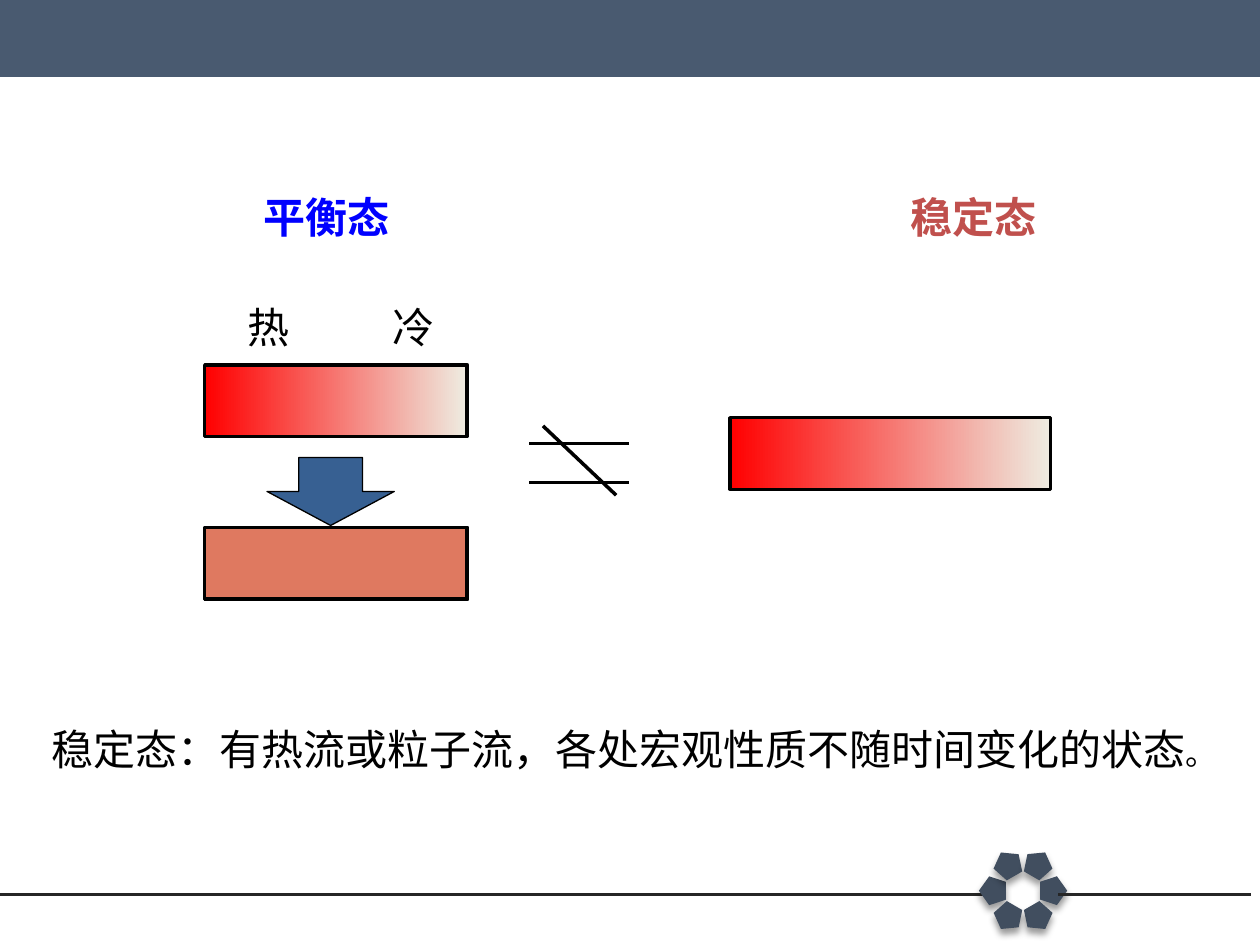
from math import cos, radians, sin

from lxml import etree
from pptx import Presentation
from pptx.dml.color import RGBColor
from pptx.enum.shapes import MSO_CONNECTOR, MSO_SHAPE
from pptx.oxml.ns import qn
from pptx.util import Pt

RECTANGLE = MSO_SHAPE.RECTANGLE
PENTAGON = MSO_SHAPE.REGULAR_PENTAGON
DOWN_ARROW = MSO_SHAPE.DOWN_ARROW
STRAIGHT = MSO_CONNECTOR.STRAIGHT

COLORS = {
    "bar": "495A70", "rule": "262626", "petal": "414E5F",
    "black": "000000", "white": "FFFFFF", "hot": "FF0000",
    "cold": "EEECE1", "warm": "FF3300", "haze": "C0C0C0",
    "arrow": "376092", "blue": "0000FF", "brick": "C0504D",
}
CJK = "Noto Sans CJK SC"
SERIF = "Times New Roman"


def rgb(name):
    return RGBColor.from_string(COLORS[name])


def add_block(page, kind, left, top, width, height, fill=None, line=None):
    """Add a preset shape; line is its outline width, or None for no outline."""
    block = page.shapes.add_shape(kind, Pt(left), Pt(top), Pt(width), Pt(height))
    block.shadow.inherit = False
    if fill:
        block.fill.solid()
        block.fill.fore_color.rgb = rgb(fill)
    if line:
        block.line.color.rgb = rgb("black")
        block.line.width = Pt(line)
    else:
        block.line.fill.background()
    return block


def add_gradient_bar(page, left, top, width, height):
    """Add a bar that runs from hot on the left to cold on the right."""
    bar = add_block(page, RECTANGLE, left, top, width, height, line=2)
    bar.fill.gradient()
    bar.fill.gradient_angle = 0
    for stop, name in zip(bar.fill.gradient_stops, ("hot", "cold")):
        stop.color.rgb = rgb(name)


def add_alpha(color_element, percent):
    etree.SubElement(color_element, qn("a:alpha"), val=str(percent * 1000))


def add_line(page, start, end, color="black", width=2):
    line = page.shapes.add_connector(STRAIGHT, *map(Pt, start + end))
    line.line.color.rgb = rgb(color)
    line.line.width = Pt(width)
    etree.SubElement(line._element.spPr, qn("a:effectLst"))


def add_span(para, text, size=24, font=CJK, color="black", bold=False):
    span = para.add_run()
    span.text = text
    span.font.size = Pt(size)
    span.font.name = font
    span.font.bold = bold
    span.font.color.rgb = rgb(color)
    etree.SubElement(span.font._element, qn("a:ea"), typeface=CJK)


def add_text(page, text, left, top, width, height=36, wrap=True, **style):
    box = page.shapes.add_textbox(Pt(left), Pt(top), Pt(width), Pt(height))
    box.text_frame.word_wrap = wrap
    add_span(box.text_frame.paragraphs[0], text, **style)
    return box


def add_flower(page, center_x, center_y, radius, width, height):
    """Set six shadowed pentagons in a ring, each pointing outwards."""
    for angle in (270, 330, 30, 90, 150, 210):
        x = center_x + radius * sin(radians(angle))
        y = center_y - radius * cos(radians(angle))
        petal = add_block(page, PENTAGON, x - width / 2, y - height / 2,
                          width, height, fill="petal")
        petal.rotation = angle
        effects = petal._element.spPr.find(qn("a:effectLst"))
        shadow = etree.SubElement(effects, qn("a:outerShdw"), blurRad=str(Pt(4)),
                                  dist=str(Pt(3)), dir="5400000", rotWithShape="0")
        color = etree.SubElement(shadow, qn("a:srgbClr"), val=COLORS["black"])
        add_alpha(color, 40)


def add_frame(page):
    """Draw the top bar and the footer rule with its flower."""
    add_block(page, RECTANGLE, 0, 0, 720, 43.9, fill="bar")
    add_line(page, (0, 511.2), (562.3, 511.2), color="rule", width=1.75)
    add_flower(page, 584.6, 509, 17.5, 16.5, 15.5)
    add_line(page, (604.8, 511.2), (715, 511.2), color="rule", width=1.75)


def add_equilibrium(page):
    """Draw the bar that starts hot and cold and ends at one temperature."""
    left, width, height = 117, 150, 41
    end_top = 301.5
    add_text(page, "平衡态", 143.3, 105.8, 105, color="blue", bold=True)
    add_block(page, RECTANGLE, left, end_top, width, height, fill="warm", line=2)
    haze = add_block(page, RECTANGLE, left, end_top, width, height,
                     fill="haze", line=2)
    add_alpha(haze._element.spPr.find(qn("a:solidFill"))[0], 50)
    add_gradient_bar(page, left, 208.5, width, height)
    for label, label_left in (("冷", 217.4), ("热", 134.6)):
        add_text(page, label, label_left, 168.5, 48, font=SERIF)
    add_block(page, DOWN_ARROW, 152.6, 261.4, 72.7, 38.9, fill="arrow", line=0.75)


def add_not_equal(page):
    for y in (253.4, 275.8):
        add_line(page, (302.5, y), (359.5, y))
    add_line(page, (310.3, 243.4), (352.1, 283))


def add_steady(page):
    add_text(page, "稳定态", 513.4, 105.8, 87.8, wrap=False,
             font=SERIF, color="brick", bold=True)
    add_gradient_bar(page, 417.3, 238.7, 183, 41)


def add_definition(page):
    box = add_text(page, "稳定态：有热流或粒子流，各处宏观性质不随时间变化的状态",
                   22.3, 409.7, 674.6)
    box.fill.solid()
    box.fill.fore_color.rgb = rgb("white")
    add_span(box.text_frame.paragraphs[0], "。", size=18, font="Arial")


def main():
    deck = Presentation()
    deck.slide_width, deck.slide_height = Pt(720), Pt(540)
    page = deck.slides.add_slide(deck.slide_layouts[6])
    add_frame(page)
    add_steady(page)
    add_equilibrium(page)
    add_not_equal(page)
    add_definition(page)
    deck.save("out.pptx")


if __name__ == "__main__":
    main()
